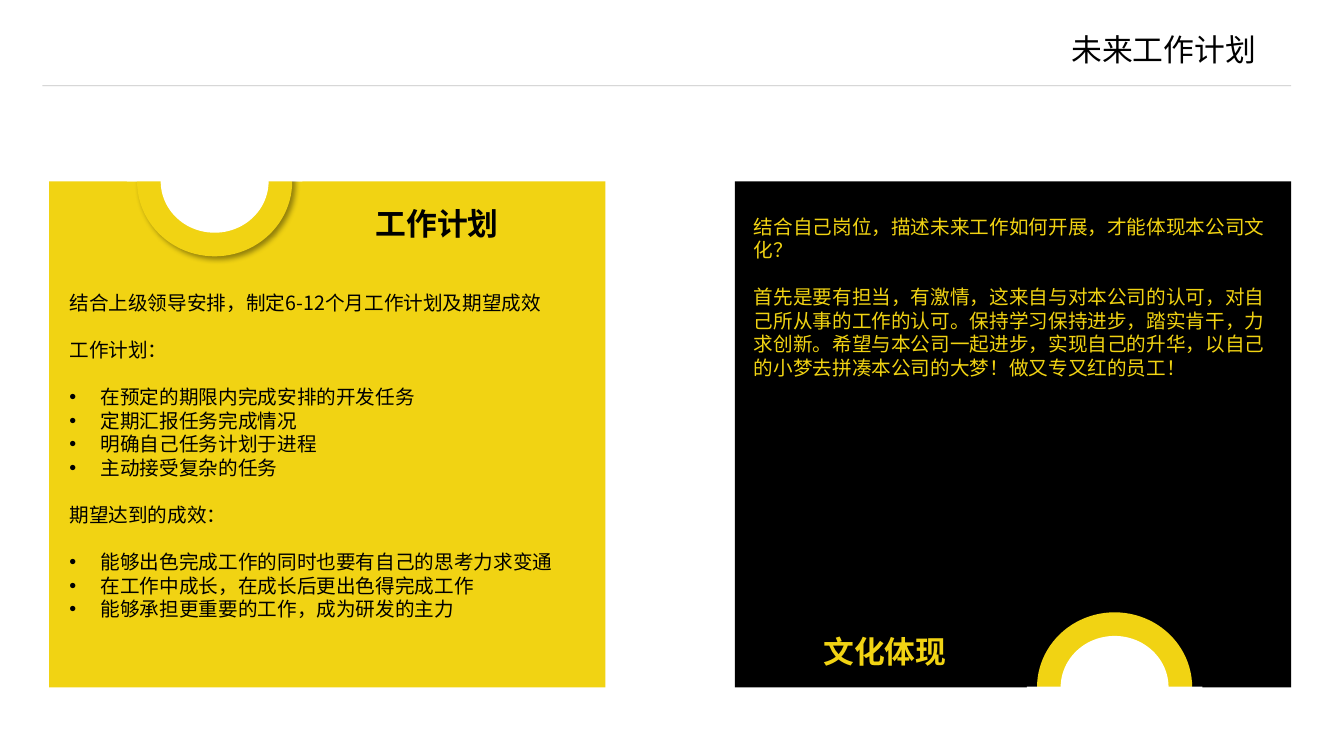
import pptx
import pptx.util
import pptx.dml.color
import pptx.enum.shapes
import pptx.oxml
import pptx.oxml.ns

Cm, Pt = pptx.util.Cm, pptx.util.Pt
KIND = pptx.enum.shapes.MSO_SHAPE
FONT = "Noto Sans CJK SC"
HUES = {"gold": "F1D313", "black": "000000", "white": "FFFFFF"}
CARD = {"top": 4.57, "wide": 14.02, "high": 12.75}
LEAD = 1.2

PLAN = [
    ("结合上级领导安排，制定6-12个月工作计划及期望成效", False),
    ("工作计划：", False),
    ("在预定的期限内完成安排的开发任务", True),
    ("定期汇报任务完成情况", True),
    ("明确自己任务计划于进程", True),
    ("主动接受复杂的任务", True),
    ("期望达到的成效：", False),
    ("能够出色完成工作的同时也要有自己的思考力求变通", True),
    ("在工作中成长，在成长后更出色得完成工作", True),
    ("能够承担更重要的工作，成为研发的主力", True),
]
VALUES = [
    ("结合自己岗位，描述未来工作如何开展，才能体现本公司文化？", False),
    ("首先是要有担当，有激情，这来自与对本公司的认可，对自己所从事的工作的认可。"
     "保持学习保持进步，踏实肯干，力求创新。希望与本公司一起进步，实现自己的升华，"
     "以自己的小梦去拼凑本公司的大梦！做又专又红的员工！", False),
]


def rgb(hue):
    return pptx.dml.color.RGBColor.from_string(HUES[hue])


def node(xml):
    """Parse an XML snippet that uses the a: prefix."""
    head, tail = xml.split(">", 1)
    slash = "/" if head.endswith("/") else ""
    head = head.rstrip("/")
    return pptx.oxml.parse_xml(
        f"{head} {pptx.oxml.ns.nsdecls('a')}{slash}>{tail}")


def block(group, kind, left, top, wide, high, hue):
    shape = group.shapes.add_shape(kind, Cm(left), Cm(top), Cm(wide), Cm(high))
    shape.shadow.inherit = False
    shape.fill.solid()
    shape.fill.fore_color.rgb = rgb(hue)
    shape.line.fill.background()
    return shape


def shade(shape):
    """Cast a soft shadow down and to the right."""
    effects = shape._element.spPr.find(pptx.oxml.ns.qn("a:effectLst"))
    effects.append(node(
        '<a:outerShdw blurRad="50800" dist="38100" dir="2700000" algn="tl" '
        'rotWithShape="0"><a:srgbClr val="000000"><a:alpha val="40000"/>'
        '</a:srgbClr></a:outerShdw>'))


def card(slide, left, hue, mid, edge, mask):
    """Draw a panel with a half ring on the edge; a white mask hides the rest."""
    group = slide.shapes.add_group_shape()
    block(group, KIND.RECTANGLE, left, CARD["top"], CARD["wide"],
          CARD["high"], hue)
    for wide, high, tint in ((3.91, 3.78, "gold"), (2.72, 2.59, "white")):
        disc = block(group, KIND.OVAL, mid - wide / 2, edge - high / 2,
                     wide, high, tint)
        if tint == "gold":
            shade(disc)
    block(group, KIND.RECTANGLE, mid - 2.21, mask, 4.42, 2.1, "white")


def dot(para):
    """Give the paragraph a bullet with a hanging indent."""
    props = para._p.get_or_add_pPr()
    props.set("marL", str(Cm(0.79)))
    props.set("indent", str(-Cm(0.79)))
    props.append(node('<a:buFont typeface="Arial"/>'))
    props.append(node('<a:buChar char="•"/>'))


def write(slide, left, top, wide, high, lines, size, hue, bold=False):
    """Add (text, bulleted) lines, with a one-line gap except between bullets."""
    frame = slide.shapes.add_textbox(
        Cm(left), Cm(top), Cm(wide), Cm(high)).text_frame
    frame.word_wrap = True
    prior = False
    for i, (text, listed) in enumerate(lines):
        para = frame.add_paragraph() if i else frame.paragraphs[0]
        para.line_spacing = Pt(size * LEAD)
        if i and not (listed and prior):
            para.space_before = Pt(size * LEAD)
        if listed:
            dot(para)
        run = para.add_run()
        run.text = text
        run.font.name = FONT
        run.font.size = Pt(size)
        run.font.bold = bold
        run.font.color.rgb = rgb(hue)
        run._r.get_or_add_rPr().append(node(f'<a:ea typeface="{FONT}"/>'))
        prior = listed


def rule(slide, left, right, top):
    """Draw a faint line across the slide."""
    line = slide.shapes.add_connector(
        pptx.enum.shapes.MSO_CONNECTOR.STRAIGHT,
        Cm(left), Cm(top), Cm(right), Cm(top))
    line.line.width = Pt(0.5)
    line.line.color.rgb = rgb("black")
    props = line._element.spPr
    tint = next(props.iter(pptx.oxml.ns.qn("a:srgbClr")))
    tint.append(node('<a:alpha val="23000"/>'))
    props.append(node("<a:effectLst/>"))


def main():
    deck = pptx.Presentation()
    deck.slide_width, deck.slide_height = Cm(33.87), Cm(19.05)
    slide = deck.slides.add_slide(deck.slide_layouts[6])

    rule(slide, 1.07, 32.54, 2.16)
    write(slide, 26.75, 0.66, 6.6, 1.19, [("未来工作计划", False)], 22, "black")

    base = CARD["top"] + CARD["high"]
    card(slide, 1.24, "gold", 5.41, CARD["top"], CARD["top"] - 2.1)
    card(slide, 18.52, "black", 28.09, base, base - 0.02)

    write(slide, 18.75, 5.28, 13.51, 4.45, VALUES, 14, "gold")
    write(slide, 9.22, 5.03, 4.8, 1.19, [("工作计划", False)], 22, "black", True)
    write(slide, 20.5, 15.82, 4.8, 1.19, [("文化体现", False)], 22, "gold", True)
    write(slide, 1.5, 7.21, 13.51, 8.64, PLAN, 14, "black")
    deck.save("out.pptx")


if __name__ == "__main__":
    main()
